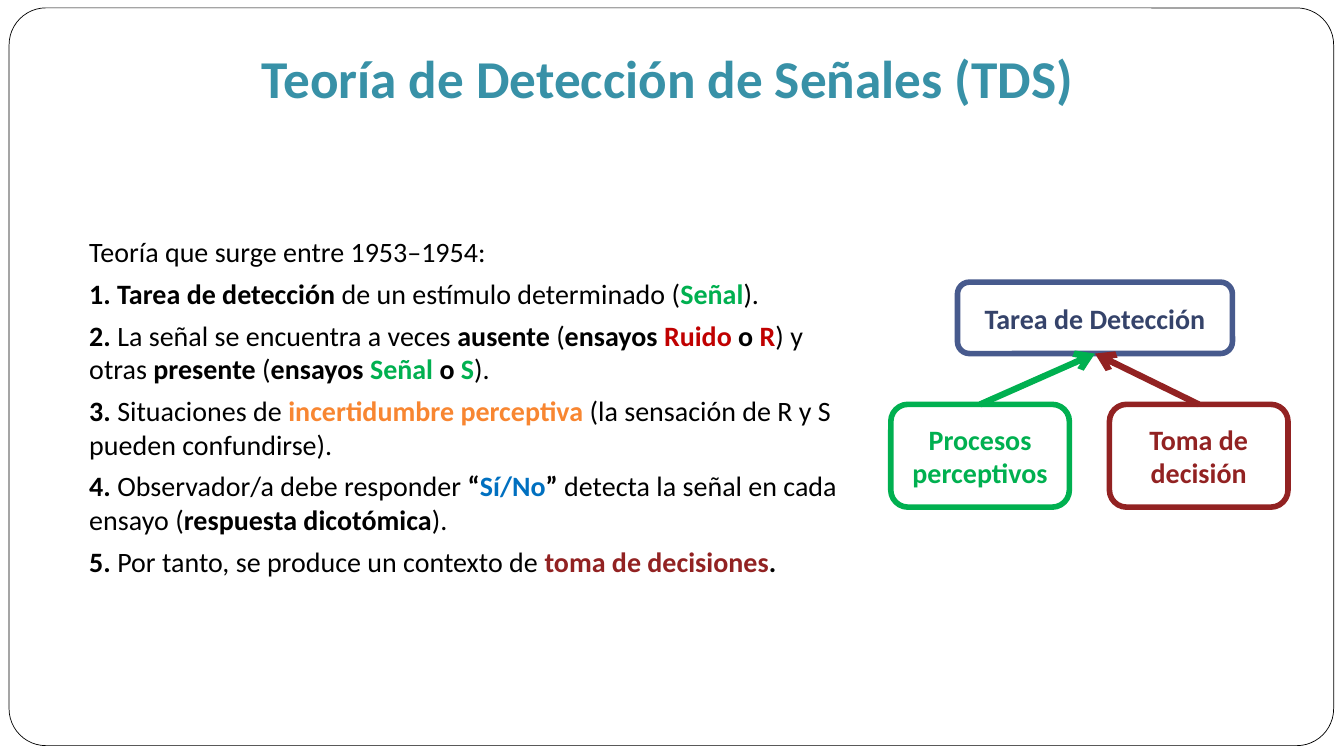
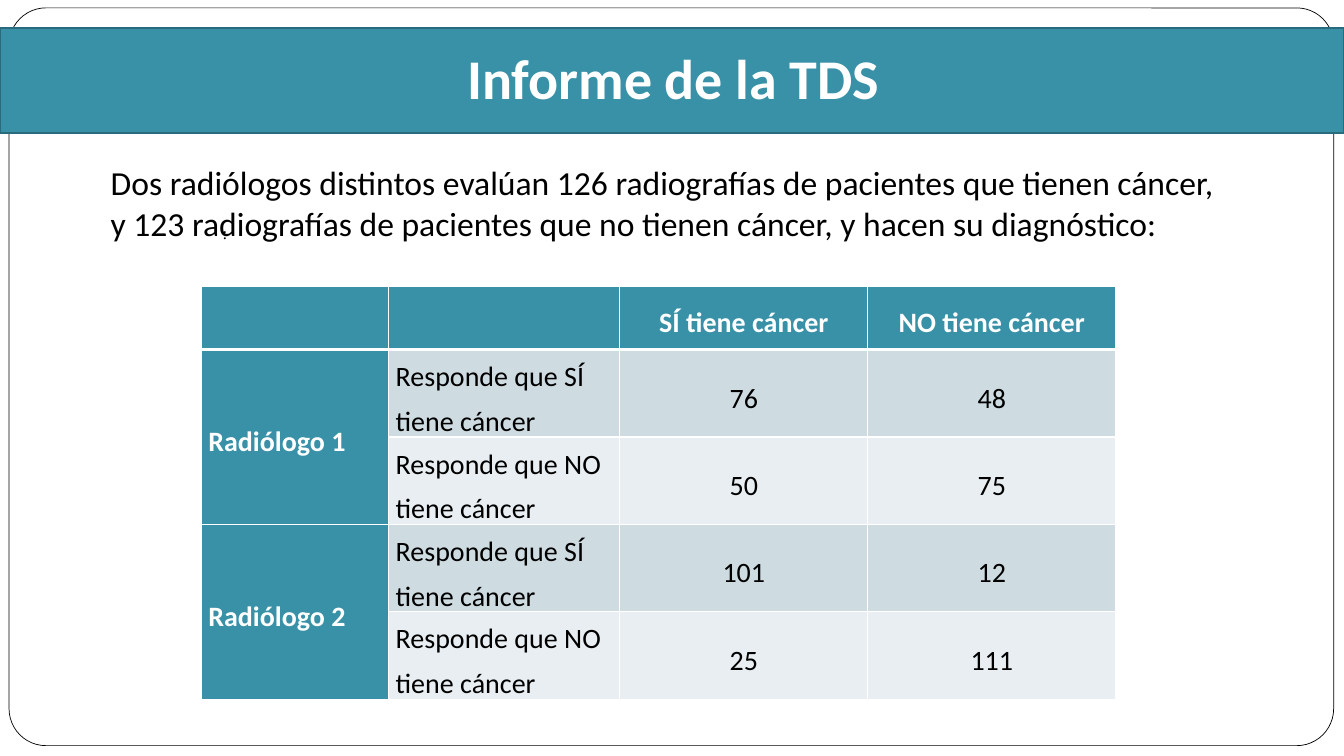
"""Build two slides that introduce signal detection theory and its report."""
from dataclasses import dataclass

from lxml.etree import SubElement
from pptx import Presentation
from pptx.dml.color import RGBColor
from pptx.enum.shapes import MSO_CONNECTOR, MSO_SHAPE
from pptx.enum.text import MSO_ANCHOR, PP_ALIGN
from pptx.oxml.ns import qn
from pptx.util import Cm, Pt


@dataclass(frozen=True)
class Theme:
    """Hold the fonts, type sizes and colours of the presentation."""
    font: str = "Calibri"
    serif: str = "Times New Roman"
    title_size: float = 38
    band_title_size: float = 40
    lead_size: float = 24
    text_size: float = 20
    mark_size: float = 12
    paragraph_gap: float = 5.8
    black: str = "000000"
    white: str = "FFFFFF"
    teal: str = "3891A7"
    teal_dark: str = "296B7C"
    navy: str = "475A8D"
    navy_dark: str = "35436A"
    green: str = "00B050"
    red: str = "C00000"
    maroon: str = "922222"
    orange: str = "F88631"
    blue: str = "0070C0"
    row_dark: str = "CEDCE1"
    row_light: str = "E8EEF1"


THEME = Theme()

THEORY = [
    ["Teoría que surge entre 1953–1954:"],
    [("1. Tarea de detección ", THEME.black), "de un estímulo determinado (",
     ("Señal", THEME.green), ")."],
    [("2. ", THEME.black), "La señal se encuentra a veces ", ("ausente ", THEME.black),
     "(", ("ensayos ", THEME.black), ("Ruido", THEME.red), (" o ", THEME.black),
     ("R", THEME.red), ") y otras ", ("presente ", THEME.black), "(",
     ("ensayos ", THEME.black), ("Señal ", THEME.green), ("o ", THEME.black),
     ("S", THEME.green), ")."],
    [("3. ", THEME.black), "Situaciones de ",
     ("incertidumbre perceptiva ", THEME.orange),
     "(la sensación de R y S pueden confundirse)."],
    [("4. ", THEME.black), "Observador/a debe responder ", ("“", THEME.black),
     ("Sí/No", THEME.blue), ("” ", THEME.black), "detecta la señal en cada ensayo (",
     ("respuesta dicotómica", THEME.black), ")."],
    [("5. ", THEME.black), "Por tanto, se produce un contexto de ",
     ("toma de decisiones", THEME.maroon), (".", THEME.black)],
]

LEAD = ("Dos radiólogos distintos evalúan 126 radiografías de pacientes que tienen "
        "cáncer, y 123 radiografías de pacientes que no tienen cáncer, y hacen su "
        "diagnóstico:")
HEADER = ["", "", "SÍ tiene cáncer", "NO tiene cáncer"]
ANSWERS = ["Responde que SÍ tiene cáncer", "Responde que NO tiene cáncer"]
REPORT = {
    "Radiólogo 1": [(76, 48), (50, 75)],
    "Radiólogo 2": [(101, 12), (25, 111)],
}


def rgb(colour):
    """Turn a hexadecimal string into a colour."""
    return RGBColor.from_string(colour)


def style_font(font, size, colour, bold=False, name=THEME.font):
    """Set the face, size, weight and colour of a font."""
    font.name, font.size, font.bold = name, Pt(size), bold
    font.color.rgb = rgb(colour)


def add_panel(slide, kind, box, fill, line, line_width):
    """Add a filled and outlined preset shape."""
    shape = slide.shapes.add_shape(kind, *box)
    shape.shadow.inherit = False
    shape.fill.solid()
    shape.fill.fore_color.rgb = rgb(fill)
    shape.line.color.rgb = rgb(line)
    shape.line.width = Pt(line_width)
    return shape


def add_text(slide, box, paragraphs, size):
    """Add wrapped text; strings are plain, (text, colour) pairs are bold."""
    text_frame = slide.shapes.add_textbox(*box).text_frame
    text_frame.word_wrap = True
    for index, pieces in enumerate(paragraphs):
        paragraph = text_frame.add_paragraph() if index else text_frame.paragraphs[0]
        if index:
            paragraph.space_before = Pt(THEME.paragraph_gap)
        style_font(paragraph.font, size, THEME.black)
        for piece in pieces:
            run = paragraph.add_run()
            if isinstance(piece, str):
                run.text = piece
            else:
                run.text, colour = piece
                run.font.bold = True
                run.font.color.rgb = rgb(colour)


def add_title(slide, box, text, size, colour):
    """Add a bold centred title and return its text frame."""
    text_frame = slide.shapes.add_textbox(*box).text_frame
    text_frame.word_wrap = True
    paragraph = text_frame.paragraphs[0]
    paragraph.text = text
    paragraph.alignment = PP_ALIGN.CENTER
    style_font(paragraph.font, size, colour, bold=True)
    return text_frame


def add_band_title(slide, width, text):
    """Add a full-width band with a white title on it."""
    add_panel(slide, MSO_SHAPE.RECTANGLE, (0, Cm(0.71), width, Cm(2.64)),
              THEME.teal, THEME.teal_dark, 1)
    text_frame = add_title(slide, (Cm(0.38), Cm(1.07), Cm(33.17), Cm(1.96)), text,
                           THEME.band_title_size, THEME.white)
    text_frame.vertical_anchor = MSO_ANCHOR.BOTTOM
    text_frame.margin_bottom = Cm(0.25)


def add_box(slide, box, text, line, text_colour):
    """Add a rounded diagram box with a bold centred label."""
    shape = add_panel(slide, MSO_SHAPE.ROUNDED_RECTANGLE, box, THEME.white, line, 4)
    text_frame = shape.text_frame
    text_frame.word_wrap = True
    text_frame.vertical_anchor = MSO_ANCHOR.MIDDLE
    paragraph = text_frame.paragraphs[0]
    paragraph.text = text
    paragraph.alignment = PP_ALIGN.CENTER
    style_font(paragraph.font, THEME.text_size, text_colour, bold=True)
    return shape


def add_arrow(slide, source, target, colour):
    """Join the top of one box to the bottom of another with an arrow."""
    connector = slide.shapes.add_connector(MSO_CONNECTOR.STRAIGHT, 0, 0, 0, 0)
    connector.begin_connect(source, 0)
    connector.end_connect(target, 2)
    connector.line.color.rgb = rgb(colour)
    connector.line.width = Pt(4.5)
    SubElement(connector.line._get_or_add_ln(), qn("a:tailEnd"), type="arrow")
    SubElement(connector._element.spPr, qn("a:effectLst"))


def set_borders(cell, bottom_width):
    """Give a cell white borders, with its own width at the bottom."""
    properties = cell._tc.get_or_add_tcPr()
    for side in "LRTB":
        width = bottom_width if side == "B" else 1
        border = SubElement(properties, qn(f"a:ln{side}"), w=str(Pt(width)))
        fill = SubElement(border, qn("a:solidFill"))
        SubElement(fill, qn("a:srgbClr"), val=THEME.white)


def fill_cell(cell, text, fill, heading=False, centred=False, bottom_width=1):
    """Set the borders, fill and text of a table cell."""
    set_borders(cell, bottom_width)
    cell.fill.solid()
    cell.fill.fore_color.rgb = rgb(fill)
    cell.vertical_anchor = MSO_ANCHOR.MIDDLE
    cell.margin_left = cell.margin_right = Cm(0.17)
    cell.margin_top = cell.margin_bottom = 0
    paragraph = cell.text_frame.paragraphs[0]
    paragraph.text = text
    paragraph.line_spacing = 1.3
    paragraph.alignment = PP_ALIGN.CENTER if centred else PP_ALIGN.LEFT
    style_font(paragraph.font, THEME.text_size,
               THEME.white if heading else THEME.black, bold=heading)


def add_report_table(slide):
    """Add the table of answers given by each radiologist."""
    widths = [Cm(4.72), Cm(5.82), Cm(6.25), Cm(6.25)]
    heights = [Cm(1.6)] + [Cm(1.93)] * 4
    table = slide.shapes.add_table(len(heights), len(widths), Cm(5.08), Cm(7.21),
                                   sum(widths), sum(heights)).table
    for column, width in zip(table.columns, widths):
        column.width = width
    for row, height in zip(table.rows, heights):
        row.height = height
    for column, text in enumerate(HEADER):
        fill_cell(table.cell(0, column), text, THEME.teal, True, True, bottom_width=3)
    for group, (reader, counts) in enumerate(REPORT.items()):
        first = 1 + 2 * group
        table.cell(first, 0).merge(table.cell(first + 1, 0))
        fill_cell(table.cell(first, 0), reader, THEME.teal, heading=True)
        fills = (THEME.row_dark, THEME.row_light)
        for row, (answer, values, fill) in enumerate(zip(ANSWERS, counts, fills), first):
            fill_cell(table.cell(row, 1), answer, fill)
            for column, value in enumerate(values, 2):
                fill_cell(table.cell(row, column), str(value), fill, centred=True)


def add_colon(slide):
    """Add the small serif colon below the lead text."""
    text_frame = slide.shapes.add_textbox(Cm(5.36), Cm(5.49), Cm(0.64), Cm(0.76)).text_frame
    paragraph = text_frame.paragraphs[0]
    paragraph.text = ":"
    style_font(paragraph.font, THEME.mark_size, THEME.black, name=THEME.serif)


def add_framed_slide(presentation):
    """Add a blank slide with the thin rounded frame."""
    slide = presentation.slides.add_slide(presentation.slide_layouts[6])
    frame = add_panel(slide, MSO_SHAPE.ROUNDED_RECTANGLE,
                      (Cm(0.23), Cm(0.2), Cm(33.38), Cm(18.59)),
                      THEME.white, THEME.black, 0.5)
    frame.adjustments[0] = 0.05
    return slide


def build_theory_slide(presentation):
    """Build the slide that explains the theory."""
    slide = add_framed_slide(presentation)
    add_text(slide, (Cm(2), Cm(5.79), Cm(19.48), Cm(9.32)), THEORY, THEME.text_size)
    add_title(slide, (Cm(0.74), Cm(1.02), Cm(32.18), Cm(1.88)),
              "Teoría de Detección de Señales (TDS)", THEME.title_size, THEME.teal)
    task = add_box(slide, (Cm(24.13), Cm(7.11), Cm(6.93), Cm(1.8)),
                   "Tarea de Detección", THEME.navy, THEME.navy_dark)
    parts = [("Procesos perceptivos", THEME.green), ("Toma de decisión", THEME.maroon)]
    boxes = [
        add_box(slide, (Cm(22.45 + 5.51 * index), Cm(10.19), Cm(4.5), Cm(2.59)),
                text, colour, colour)
        for index, (text, colour) in enumerate(parts)
    ]
    for box, (_, colour) in zip(boxes, parts):
        add_arrow(slide, box, task, colour)


def build_report_slide(presentation):
    """Build the slide with the report of the radiologists."""
    slide = add_framed_slide(presentation)
    add_text(slide, (Cm(2.54), Cm(3.96), Cm(28.78), Cm(12.7)), [[LEAD]], THEME.lead_size)
    add_band_title(slide, presentation.slide_width, "Informe de la TDS")
    add_report_table(slide)
    add_colon(slide)


def main():
    """Build the presentation and save it."""
    presentation = Presentation()
    presentation.slide_width, presentation.slide_height = Cm(33.87), Cm(19.05)
    build_theory_slide(presentation)
    build_report_slide(presentation)
    presentation.save("out.pptx")


if __name__ == "__main__":
    main()
